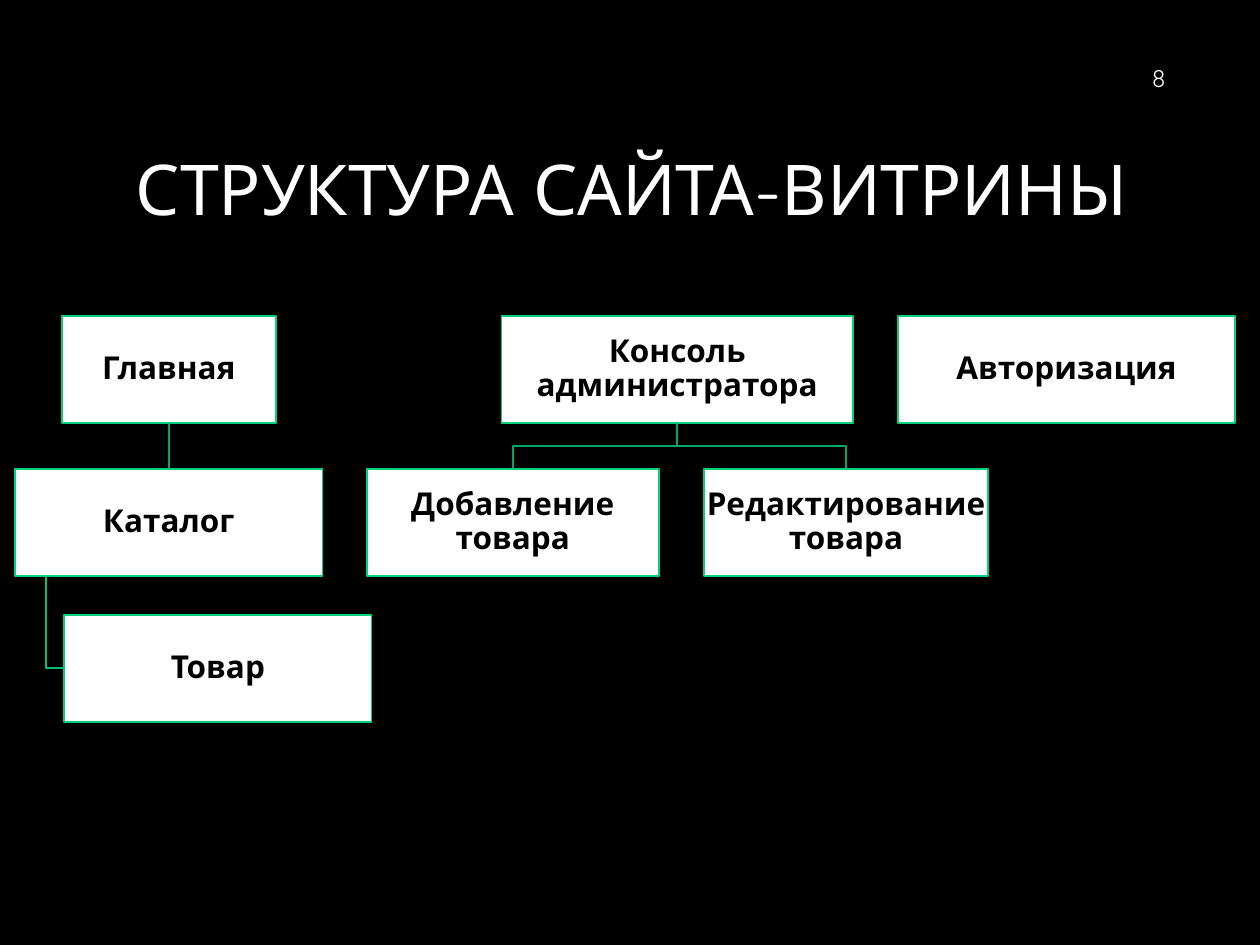
from dataclasses import dataclass

from lxml.etree import SubElement
from pptx import Presentation
from pptx.dml.color import RGBColor
from pptx.enum.shapes import MSO_CONNECTOR, MSO_SHAPE
from pptx.enum.text import MSO_ANCHOR, MSO_AUTO_SIZE, PP_ALIGN
from pptx.oxml.ns import qn
from pptx.util import Inches, Pt

BLACK = RGBColor(0x00, 0x00, 0x00)
WHITE = RGBColor(0xFF, 0xFF, 0xFF)
BORDER_GREEN = RGBColor(0x01, 0xD1, 0x7D)
BRANCH_GREEN = RGBColor(0x01, 0xA7, 0x64)
LEAF_GREEN = RGBColor(0x01, 0xBE, 0x71)
FONT = "Quicksand"
WIDTH, HEIGHT = Inches(10), Inches(7.5)

# Row tops and box height, in percent of the slide height
ROW_TOPS = (33.47, 49.6, 65.07)
BOX_HEIGHT = 11.33


@dataclass(frozen=True)
class SitePage:
    """A page of the site; left and width are percent of the slide width."""
    label: str
    row: int
    left: float
    width: float


HOME = SitePage("Главная", 0, 4.9, 17)
CATALOG = SitePage("Каталог", 1, 1.2, 24.4)
PRODUCT = SitePage("Товар", 2, 5.1, 24.4)
CONSOLE = SitePage("Консоль администратора", 0, 39.8, 27.9)
ADDING = SitePage("Добавление товара", 1, 29.1, 23.2)
EDITING = SitePage("Редактирование товара", 1, 55.9, 22.5)
LOGIN = SitePage("Авторизация", 0, 71.3, 26.7)
SITE_PAGES = (HOME, CATALOG, PRODUCT, CONSOLE, ADDING, EDITING, LOGIN)


def across(percent: float) -> int:
    return round(WIDTH * percent / 100)


def down(percent: float) -> int:
    return round(HEIGHT * percent / 100)


def place(shape, left: float, top: float, width: float, height: float) -> None:
    shape.left, shape.top = across(left), down(top)
    shape.width, shape.height = across(width), down(height)


def write(shape, text: str, size: int, color: RGBColor, align: PP_ALIGN,
          spacing: float = 1.0, bold: bool = False) -> None:
    frame = shape.text_frame
    frame.word_wrap = True
    frame.auto_size = MSO_AUTO_SIZE.NONE
    frame.vertical_anchor = MSO_ANCHOR.MIDDLE
    para = frame.paragraphs[0]
    para.alignment = align
    para.line_spacing = spacing
    span = para.add_run()
    span.text = text
    span.font.name = FONT
    span.font.size = Pt(size)
    span.font.bold = bold
    span.font.color.rgb = color


def draw_box(page, item: SitePage):
    box = page.shapes.add_shape(
        MSO_SHAPE.RECTANGLE, across(item.left), down(ROW_TOPS[item.row]),
        across(item.width), down(BOX_HEIGHT))
    box.shadow.inherit = False
    box.fill.solid()
    box.fill.fore_color.rgb = WHITE
    box.line.color.rgb = BORDER_GREEN
    box.line.width = Pt(1)
    frame = box.text_frame
    frame.margin_left = frame.margin_right = Inches(0.01)
    frame.margin_top = frame.margin_bottom = Inches(0.01)
    write(box, item.label, 18, BLACK, PP_ALIGN.CENTER, 0.9, bold=True)
    return box


def draw_bend(page, points: list[tuple[int, int]], color: RGBColor) -> None:
    outline = page.shapes.build_freeform(*points[0])
    outline.add_line_segments(points[1:], close=False)
    bend = outline.convert_to_shape()
    bend.shadow.inherit = False
    bend.fill.background()
    bend.line.color.rgb = color
    bend.line.width = Pt(1)


def draw_branch(page, parent, child) -> None:
    """Goes down from the parent, sideways halfway, and down to the child."""
    start_x = parent.left + parent.width // 2
    start_y = parent.top + parent.height
    end_x = child.left + child.width // 2
    middle_y = (start_y + child.top) // 2
    draw_bend(page, [(start_x, start_y), (start_x, middle_y),
                     (end_x, middle_y), (end_x, child.top)], BRANCH_GREEN)


def draw_hanger(page, parent, child) -> None:
    """Drops from a tenth of the parent's width to the child's left side."""
    drop_x = parent.left + parent.width // 10
    end_y = child.top + child.height // 2
    draw_bend(page, [(drop_x, parent.top + parent.height), (drop_x, end_y),
                     (child.left, end_y)], LEAF_GREEN)


def draw_straight(page, parent, child) -> None:
    line = page.shapes.add_connector(MSO_CONNECTOR.STRAIGHT, 0, 0, 0, 0)
    line.begin_connect(parent, 2)
    line.end_connect(child, 0)
    line.line.color.rgb = BRANCH_GREEN
    line.line.width = Pt(1)
    SubElement(line._element.spPr, qn("a:effectLst"))


def main() -> None:
    deck = Presentation()
    deck.slide_width, deck.slide_height = WIDTH, HEIGHT
    page = deck.slides.add_slide(deck.slide_layouts[5])
    page.background.fill.solid()
    page.background.fill.fore_color.rgb = BLACK

    # Title and slide number
    title = page.shapes.title
    place(title, 6.8, 13.47, 86.7, 13.87)
    write(title, "СТРУКТУРА САЙТА-ВИТРИНЫ", 40, WHITE, PP_ALIGN.CENTER, 0.9)
    number = page.shapes.add_textbox(0, 0, 0, 0)
    place(number, 71.9, 5.6, 21.6, 5.33)
    write(number, "8", 14, WHITE, PP_ALIGN.RIGHT)

    # Site map
    boxes = {item: draw_box(page, item) for item in SITE_PAGES}
    draw_straight(page, boxes[HOME], boxes[CATALOG])
    draw_hanger(page, boxes[CATALOG], boxes[PRODUCT])
    for action in (ADDING, EDITING):
        draw_branch(page, boxes[CONSOLE], boxes[action])

    deck.save("out.pptx")


if __name__ == "__main__":
    main()
